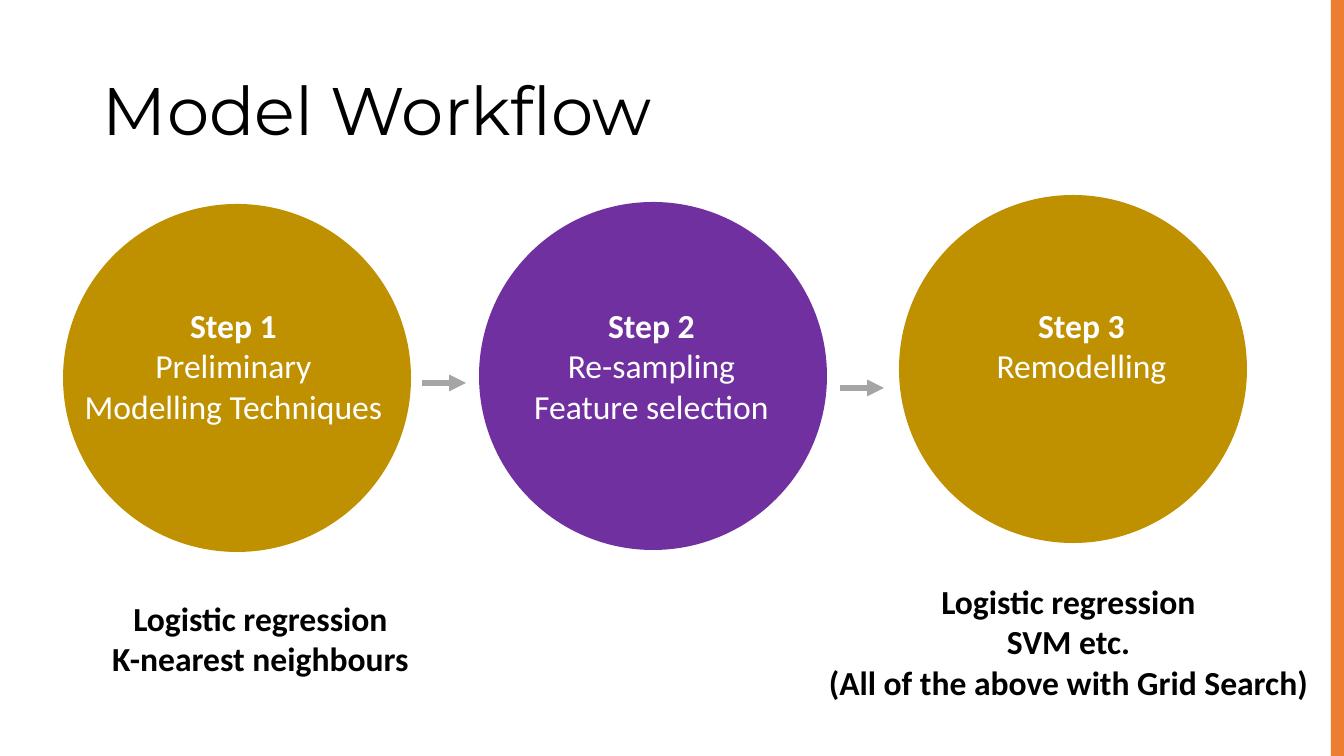
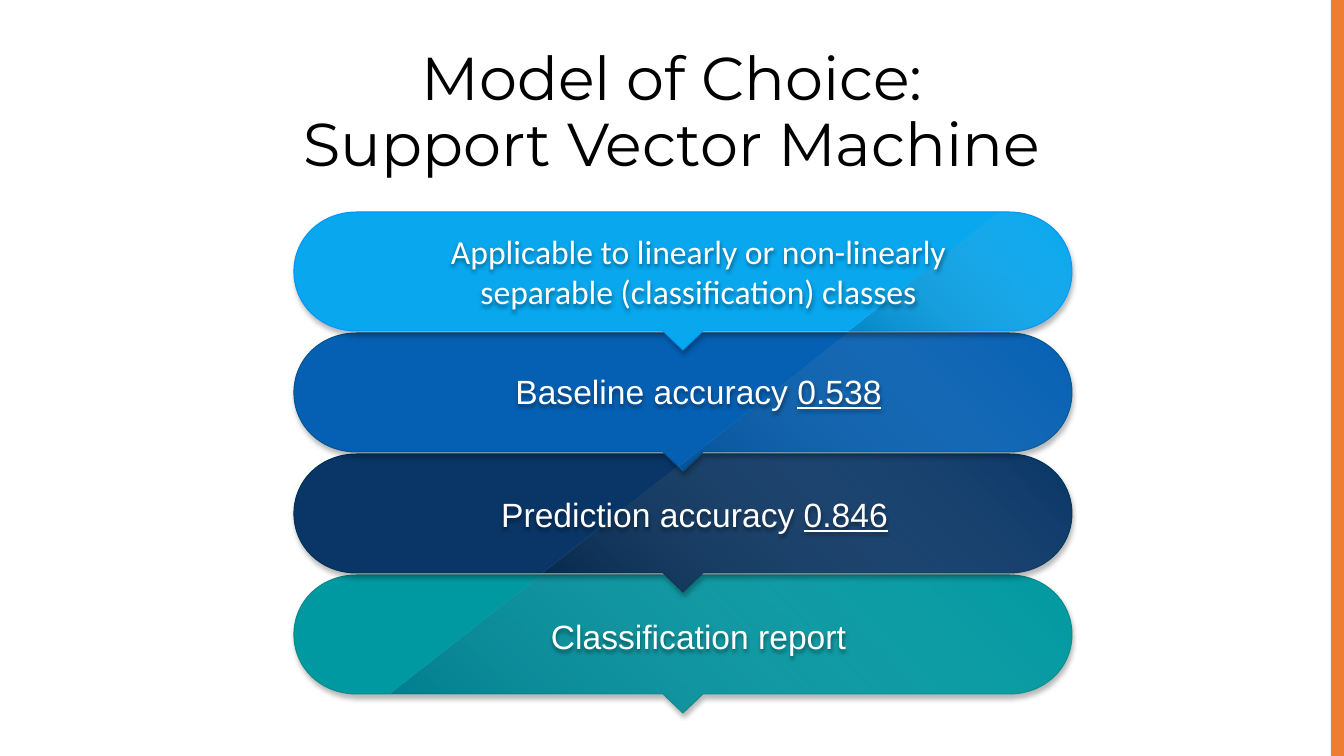
from lxml.etree import SubElement
from pptx import Presentation
from pptx.dml.color import RGBColor
from pptx.enum.shapes import MSO_CONNECTOR, MSO_SHAPE
from pptx.enum.text import MSO_ANCHOR, PP_ALIGN
from pptx.oxml.ns import qn
from pptx.util import Emu, Pt

SCALE = 914400 / 100.8
WIDTH, HEIGHT = 1344, 756
COLORS = {
    "black": "000000", "white": "FFFFFF", "band": "ED7D31", "gold": "BF9000",
    "purple": "7030A0", "arrow": "A5A5A5", "sheen": "01315D", "deep sheen": "000C16",
    "sky": "08A7EE", "sky edge": "0195F9", "blue": "0560B3", "blue edge": "01568F",
    "navy": "093667", "navy edge": "013253", "teal": "0199A1", "teal edge": "048C89",
}


def px(value):
    """Turn picture pixels into EMU."""
    return Emu(round(value * SCALE))


def rgb(name):
    """Look up a named colour."""
    return RGBColor.from_string(COLORS[name])


def add_alpha(color, percent):
    """Set the opacity of a colour element."""
    SubElement(color, qn("a:alpha"), val=str(percent * 1000))


def add_shadow(shape, blur, distance, opacity):
    """Give a shape a black shadow that falls straight down."""
    shape.shadow.inherit = False
    effects = shape._element.spPr.find(qn("a:effectLst"))
    shadow = SubElement(effects, qn("a:outerShdw"), blurRad=str(Pt(blur)), dist=str(Pt(distance)),
                        dir="5400000", algn="t", rotWithShape="0")
    add_alpha(SubElement(shadow, qn("a:srgbClr"), val=COLORS["black"]), opacity)


def corners(*points):
    """Turn points into straight segments."""
    return [(point,) for point in points]


class Deck:
    """Holds the shared style and the current slide."""

    def __init__(self):
        """Start an empty widescreen presentation."""
        self.presentation = Presentation()
        self.presentation.slide_width = px(WIDTH)
        self.presentation.slide_height = px(HEIGHT)
        self.slide = None

    def new_slide(self, title, size, align=PP_ALIGN.LEFT):
        """Add a slide with its title and the band on the right."""
        self.slide = self.presentation.slides.add_slide(self.presentation.slide_layouts[6])
        self.text((93, 41, 1158, 146), [title], size, "black", "Montserrat", align=align,
                  anchor=MSO_ANCHOR.MIDDLE, spacing=0.9)
        self.shape(MSO_SHAPE.RECTANGLE, (1331, 0, WIDTH - 1331, HEIGHT), "band")

    def text(self, box, lines, size=24, color="white", font="Calibri", align=PP_ALIGN.CENTER,
             anchor=MSO_ANCHOR.TOP, spacing=None, bold_lines=0):
        """Add a text box with one paragraph a line."""
        shape = self.slide.shapes.add_textbox(*map(px, box))
        frame = shape.text_frame
        frame.word_wrap = True
        frame.vertical_anchor = anchor
        for index, line in enumerate(lines):
            paragraph = frame.paragraphs[0] if index == 0 else frame.add_paragraph()
            paragraph.text = line
            paragraph.alignment = align
            paragraph.line_spacing = spacing
            paragraph.font.size = Pt(size)
            paragraph.font.name = font
            paragraph.font.bold = index < bold_lines
            paragraph.font.color.rgb = rgb(color)
        return shape

    def pill_text(self, box, lines, font, value=None):
        """Add shadowed text on a pill, with an underlined value at its end."""
        shape = self.text(box, lines, font=font, anchor=MSO_ANCHOR.MIDDLE)
        frame = shape.text_frame
        frame.margin_left = frame.margin_top = frame.margin_right = frame.margin_bottom = 0
        if value:
            run = frame.paragraphs[-1].add_run()
            run.text = value
            run.font.underline = True
        add_shadow(shape, 3, 2, 40)

    def shape(self, kind, box, color):
        """Add a plain filled preset shape."""
        shape = self.slide.shapes.add_shape(kind, *map(px, box))
        shape.shadow.inherit = False
        shape.fill.solid()
        shape.fill.fore_color.rgb = rgb(color)
        shape.line.fill.background()

    def arrow(self, left, right, y):
        """Add a horizontal arrow."""
        connector = self.slide.shapes.add_connector(
            MSO_CONNECTOR.STRAIGHT, px(left), px(y), px(right), px(y))
        connector.line.color.rgb = rgb("arrow")
        connector.line.width = Pt(4)
        SubElement(connector.line._get_or_add_ln(), qn("a:tailEnd"), type="triangle")
        SubElement(connector._element.spPr, qn("a:effectLst"))

    def outline(self, segments, top):
        """Add a closed freeform; a segment is an end point, or two controls and an end."""
        segments = [[(px(x), px(top + y)) for x, y in segment] for segment in segments]
        ends = [segment[-1] for segment in segments]
        builder = self.slide.shapes.build_freeform(*ends[0])
        builder.add_line_segments(ends[1:], close=True)
        shape = builder.convert_to_shape()
        shape.shadow.inherit = False
        lines = list(shape._element.spPr.iter(qn("a:lnTo")))
        for line, segment in zip(lines, segments[1:]):
            if len(segment) == 3:
                line.tag = qn("a:cubicBezTo")
                for index, (x, y) in enumerate(segment[:2]):
                    point = SubElement(line, qn("a:pt"), x=str(x - shape.left),
                                       y=str(y - shape.top))
                    line.insert(index, point)
        return shape

    def pill(self, segments, top, color):
        """Add a pill with a thin edge and a soft shadow."""
        shape = self.outline(segments, top)
        shape.fill.solid()
        shape.fill.fore_color.rgb = rgb(color)
        shape.line.color.rgb = rgb(color + " edge")
        shape.line.width = Pt(0.75)
        add_shadow(shape, 3, 2, 27)

    def sheen(self, segments, top, color, opacity):
        """Add a shade that fades towards the upper right."""
        shape = self.outline(segments, top)
        shape.line.fill.background()
        shape.fill.gradient()
        shape.fill.gradient_angle = 45
        for stop, name in zip(shape.fill.gradient_stops, (color, "white")):
            stop.color.rgb = rgb(name)
        gradient = shape._element.spPr.find(qn("a:gradFill"))
        for element, percent in zip(gradient.iter(qn("a:srgbClr")), (opacity, 0)):
            add_alpha(element, percent)


def build_workflow(deck):
    """Build the slide with three steps."""
    deck.new_slide("Model Workflow", 48)
    diameter = 348
    for left, top, color in ((63, 204, "gold"), (479, 202, "purple"), (899, 195, "gold")):
        deck.shape(MSO_SHAPE.OVAL, (left, top, diameter, diameter), color)
    steps = (
        (74, 132, ["Step 1", "Preliminary Modelling Techniques"]),
        (492, 214, ["Step 2", "Re-sampling", "Feature selection"]),
        (922, 92, ["Step 3", "Remodelling"]),
    )
    for left, height, lines in steps:
        deck.text((left, 300, 319, height), lines, bold_lines=1)
    models = (
        ((101, 593, 319, 92), ["Logistic regression", "K-nearest neighbours"]),
        ((808, 576, 521, 132),
         ["Logistic regression", "SVM etc.", "(All of the above with Grid Search)"]),
    )
    for box, lines in models:
        deck.text(box, lines, color="black", bold_lines=len(lines))
    deck.arrow(422, 466, 383)
    deck.arrow(840, 884, 388)


def build_choice(deck):
    """Build the slide with four stacked pills."""
    deck.new_slide("Model of Choice:\vSupport Vector Machine", 43.2, PP_ALIGN.CENTER)
    first_top, pitch, height = 212, 121, 119

    def cap(edge, inward, start, end):
        """Return a round end as two curves, with the point where it starts."""
        inner, control = edge + inward * 63, edge + inward * 27
        bend = 26 if end > start else -26
        return [((inner, start),),
                ((control, start), (edge, start + bend), (edge, height / 2)),
                ((edge, end - bend), (control, end), (inner, end))]

    right_cap = cap(1072, -1, 0, height)
    pointer = corners((703, height), (683, height + 19), (663, height))
    notch = corners((683, 19), (703, 0))
    pill_segments = right_cap + pointer + cap(294, 1, height, 0)
    pills = (
        ("sky", "sheen", 28, corners((848, height), (1000, 0))),
        ("blue", "sheen", 28, pointer[:2] + corners((679, 133), (848, 0))),
        ("navy", "deep sheen", 35, pointer + corners((543, height), (677, 14)) + notch),
        ("teal", "sheen", 28, pointer + corners((390, height), (542, 0), (663, 0)) + notch),
    )
    for index, (color, shade, opacity, edge) in reversed(list(enumerate(pills))):
        top = first_top + index * pitch
        deck.pill(pill_segments, top, color)
        deck.sheen(edge + right_cap, top, shade, opacity)

    deck.pill_text((269, 231, 859, 80), ["Applicable to linearly or non-linearly",
                                         "separable (classification) classes"], "Calibri")
    facts = (
        (304, 365, "Baseline accuracy ", "0.538"),
        (300, 488, "Prediction accuracy ", "0.846"),
        (304, 610, "Classification report", None),
    )
    for left, top, label, value in facts:
        deck.pill_text((left, top, 789, 52), [label], "Arial", value)


def main():
    """Build both slides and save them."""
    deck = Deck()
    build_workflow(deck)
    build_choice(deck)
    deck.presentation.save("out.pptx")


main()
